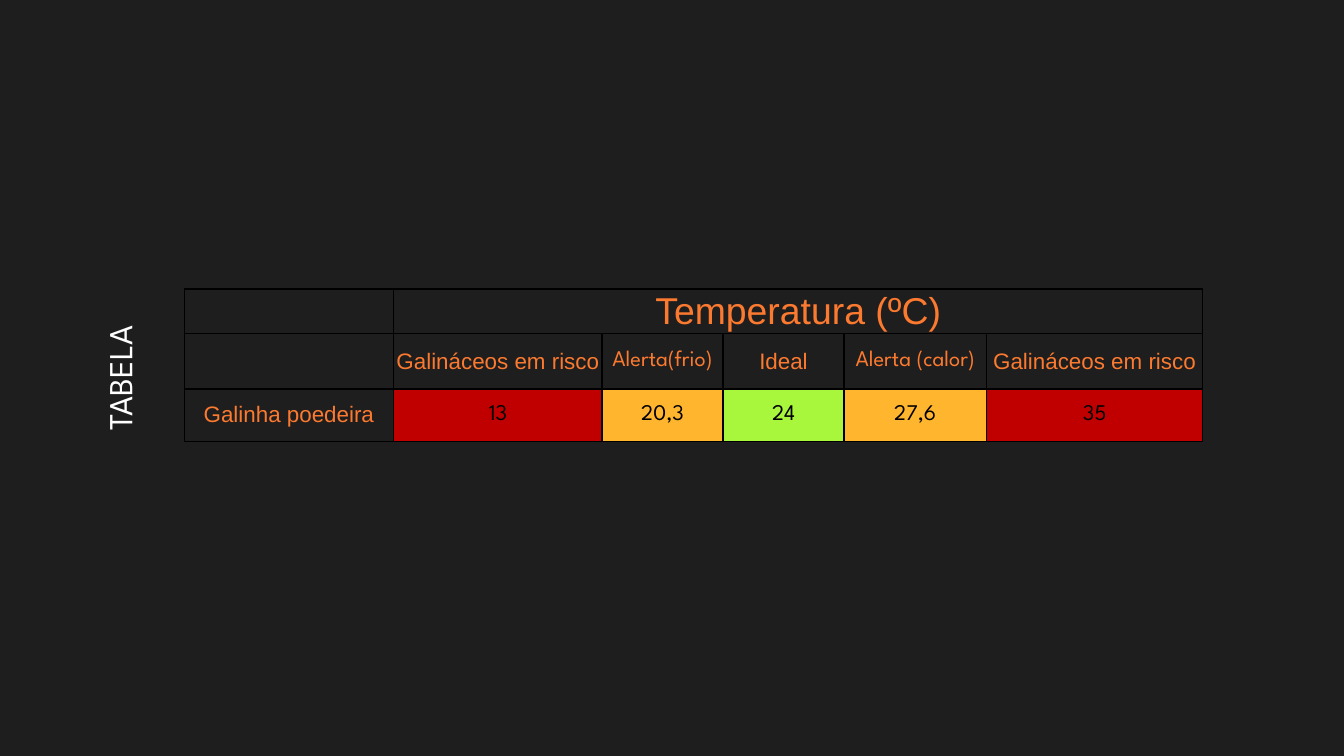
from dataclasses import dataclass

from lxml import etree
from pptx import Presentation
from pptx import util as u
from pptx.dml.color import RGBColor
from pptx.enum import text
from pptx.oxml import ns

BACKGROUND = RGBColor(0x1E, 0x1E, 0x1E)
WHITE = RGBColor(0xFF, 0xFF, 0xFF)
BLACK = RGBColor(0x00, 0x00, 0x00)
ORANGE = RGBColor(0xFC, 0x7A, 0x30)
RISK = RGBColor(0xC0, 0x00, 0x00)
ALERT = RGBColor(0xFF, 0xB5, 0x2E)
IDEAL = RGBColor(0xA8, 0xF7, 0x3C)

ARIAL = "Arial"
SPARTAN = "League Spartan"
COLUMNS = (1.56, 1.55, 0.9, 0.9, 1.06, 1.61)
ROWS = (0.05, 0.41, 0.39)
TABLE_HEIGHT = 1.13


@dataclass(frozen=True)
class Entry:
    words: str = ""
    font: str = ARIAL
    size: float = 12
    color: RGBColor = ORANGE
    fill: RGBColor | None = None


@dataclass(frozen=True)
class Level:
    label: str
    font: str
    degrees: str
    fill: RGBColor


LEVELS = (
    Level("Galináceos em risco", ARIAL, "13", RISK),
    Level("Alerta(frio)", SPARTAN, "20,3", ALERT),
    Level("Ideal", ARIAL, "24", IDEAL),
    Level("Alerta (calor)", SPARTAN, "27,6", ALERT),
    Level("Galináceos em risco", ARIAL, "35", RISK),
)


def write(frame, entry: Entry) -> None:
    frame.text = entry.words
    line = frame.paragraphs[0]
    line.alignment = text.PP_ALIGN.CENTER
    for run in line.runs:
        run.font.name = entry.font
        run.font.size = u.Pt(entry.size)
        run.font.color.rgb = entry.color
    if not entry.words:
        etree.SubElement(line._p, ns.qn("a:endParaRPr"), sz=str(entry.size * 100))


def draw_borders(cell) -> None:
    properties = cell._tc.get_or_add_tcPr()
    for position, side in enumerate(("lnL", "lnR", "lnT", "lnB")):
        border = etree.Element(ns.qn(f"a:{side}"), w=str(u.Pt(0.75)))
        solid = etree.SubElement(border, ns.qn("a:solidFill"))
        etree.SubElement(solid, ns.qn("a:srgbClr"), val=str(BLACK))
        properties.insert(position, border)


def draw_cell(cell, entry: Entry) -> None:
    cell.margin_left = cell.margin_right = 0
    cell.margin_top = cell.margin_bottom = 0
    cell.vertical_anchor = text.MSO_ANCHOR.MIDDLE
    write(cell.text_frame, entry)
    if entry.fill is None:
        cell.fill.background()
    else:
        cell.fill.solid()
        cell.fill.fore_color.rgb = entry.fill
    draw_borders(cell)


def draw_title(slide) -> None:
    title = slide.shapes.add_textbox(
        u.Inches(-0.94), u.Inches(2.46), u.Inches(3.65), u.Inches(0.7))
    title.rotation = 270
    frame = title.text_frame
    frame.word_wrap = True
    frame.vertical_anchor = text.MSO_ANCHOR.MIDDLE
    frame.margin_left = frame.margin_right = u.Inches(0.1)
    frame.margin_top = frame.margin_bottom = u.Inches(0.1)
    write(frame, Entry("TABELA", SPARTAN, 18, WHITE))


def draw_temperatures(slide) -> None:
    heading = [Entry(), Entry("Temperatura (ºC)", size=20)]
    heading += [Entry()] * (len(COLUMNS) - len(heading))
    labels = [Entry(), *(Entry(level.label, level.font) for level in LEVELS)]
    degrees = [Entry("Galinha poedeira")]
    degrees += [Entry(level.degrees, SPARTAN, color=BLACK, fill=level.fill)
                for level in LEVELS]

    temperatures = slide.shapes.add_table(
        len(ROWS), len(COLUMNS), u.Inches(1.37), u.Inches(2.15),
        u.Inches(sum(COLUMNS)), u.Inches(TABLE_HEIGHT))
    table = temperatures.table
    table.first_row = table.horz_banding = False
    for column, width in zip(table.columns, COLUMNS):
        column.width = u.Inches(width)
    for row, height, entries in zip(table.rows, ROWS, (heading, labels, degrees)):
        row.height = u.Inches(height)
        for cell, entry in zip(row.cells, entries):
            draw_cell(cell, entry)
    table.cell(0, 1).merge(table.cell(0, len(COLUMNS) - 1))
    temperatures.height = u.Inches(TABLE_HEIGHT)


def main() -> None:
    deck = Presentation()
    deck.slide_width = u.Inches(10)
    deck.slide_height = deck.slide_width * 9 // 16
    slide = deck.slides.add_slide(deck.slide_layouts[6])
    slide.background.fill.solid()
    slide.background.fill.fore_color.rgb = BACKGROUND
    draw_title(slide)
    draw_temperatures(slide)
    deck.save("out.pptx")


if __name__ == "__main__":
    main()
